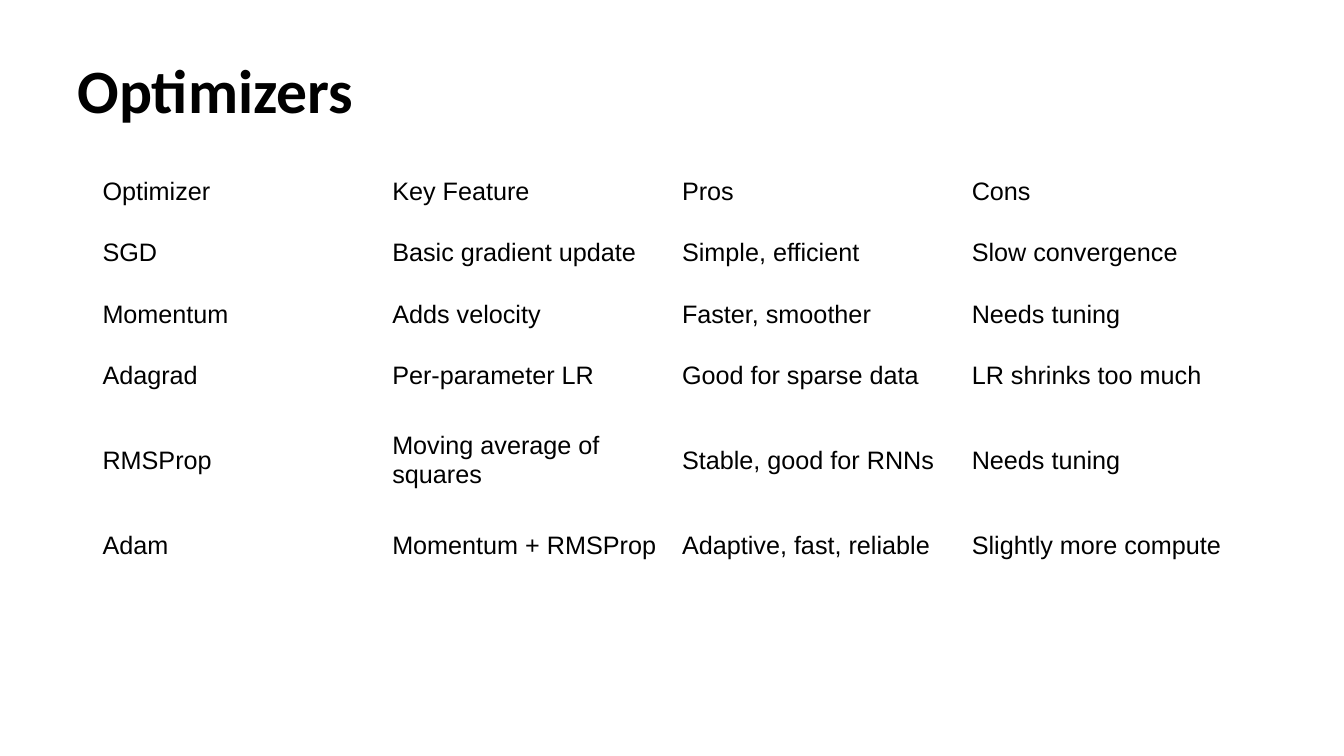
import dataclasses

import pptx
import pptx.dml.color
import pptx.enum.text
import pptx.util

Cm = pptx.util.Cm


@dataclasses.dataclass(frozen=True)
class Theme:
    """Colours, fonts and type sizes of the slide."""
    ink: str = "000000"
    title_font: str = "Calibri"
    body_font: str = "Arial"
    title_size: int = 44
    body_size: int = 18


THEME = Theme()
OPTIMIZERS = [
    ("Optimizer", "Key Feature", "Pros", "Cons"),
    ("SGD", "Basic gradient update", "Simple, efficient", "Slow convergence"),
    ("Momentum", "Adds velocity", "Faster, smoother", "Needs tuning"),
    ("Adagrad", "Per-parameter LR", "Good for sparse data", "LR shrinks too much"),
    ("RMSProp", "Moving average of squares", "Stable, good for RNNs", "Needs tuning"),
    ("Adam", "Momentum + RMSProp", "Adaptive, fast, reliable", "Slightly more compute"),
]
ROW_HEIGHTS = [1.54, 1.54, 1.54, 1.54, 2.74, 1.54]


def write_text(text_frame, text, *, font, size, bold=False, line_spacing=1.0):
    """Write one left-aligned paragraph in the given format."""
    text_frame.word_wrap = True
    paragraph = text_frame.paragraphs[0]
    paragraph.alignment = pptx.enum.text.PP_ALIGN.LEFT
    paragraph.line_spacing = line_spacing
    run = paragraph.add_run()
    run.text = text
    run.font.name = font
    run.font.size = pptx.util.Pt(size)
    run.font.bold = bold
    run.font.color.rgb = pptx.dml.color.RGBColor.from_string(THEME.ink)


def place_title(slide, text, left, top, width, height):
    """Fit the title placeholder into its box."""
    title = slide.shapes.title
    title.left, title.top = Cm(left), Cm(top)
    title.width, title.height = Cm(width), Cm(height)
    title.text_frame.vertical_anchor = pptx.enum.text.MSO_ANCHOR.MIDDLE
    title.text_frame.auto_size = pptx.enum.text.MSO_AUTO_SIZE.NONE
    write_text(title.text_frame, text, font=THEME.title_font,
               size=THEME.title_size, bold=True, line_spacing=0.9)


def place_table(slide, records, row_heights, left, top, width):
    """Place a plain table with equal columns in its box."""
    column_count = len(records[0])
    table = slide.shapes.add_table(
        len(records), column_count, Cm(left), Cm(top),
        Cm(width), Cm(sum(row_heights))).table
    table.first_row = False
    table.horz_banding = False
    for column in table.columns:
        column.width = Cm(width / column_count)
    for row, height, record in zip(table.rows, row_heights, records):
        row.height = Cm(height)
        for cell, text in zip(row.cells, record):
            cell.fill.background()
            cell.vertical_anchor = pptx.enum.text.MSO_ANCHOR.MIDDLE
            write_text(cell.text_frame, text, font=THEME.body_font,
                       size=THEME.body_size)


def main():
    """Build and save the presentation."""
    presentation = pptx.Presentation()
    presentation.slide_width, presentation.slide_height = Cm(33.87), Cm(19.05)
    slide = presentation.slides.add_slide(presentation.slide_layouts[5])
    place_title(slide, "Optimizers", 1.7, 0.76, 30.48, 3.18)
    place_table(slide, OPTIMIZERS, ROW_HEIGHTS, 2.33, 4.07, 29.21)
    presentation.save("out.pptx")


if __name__ == "__main__":
    main()
